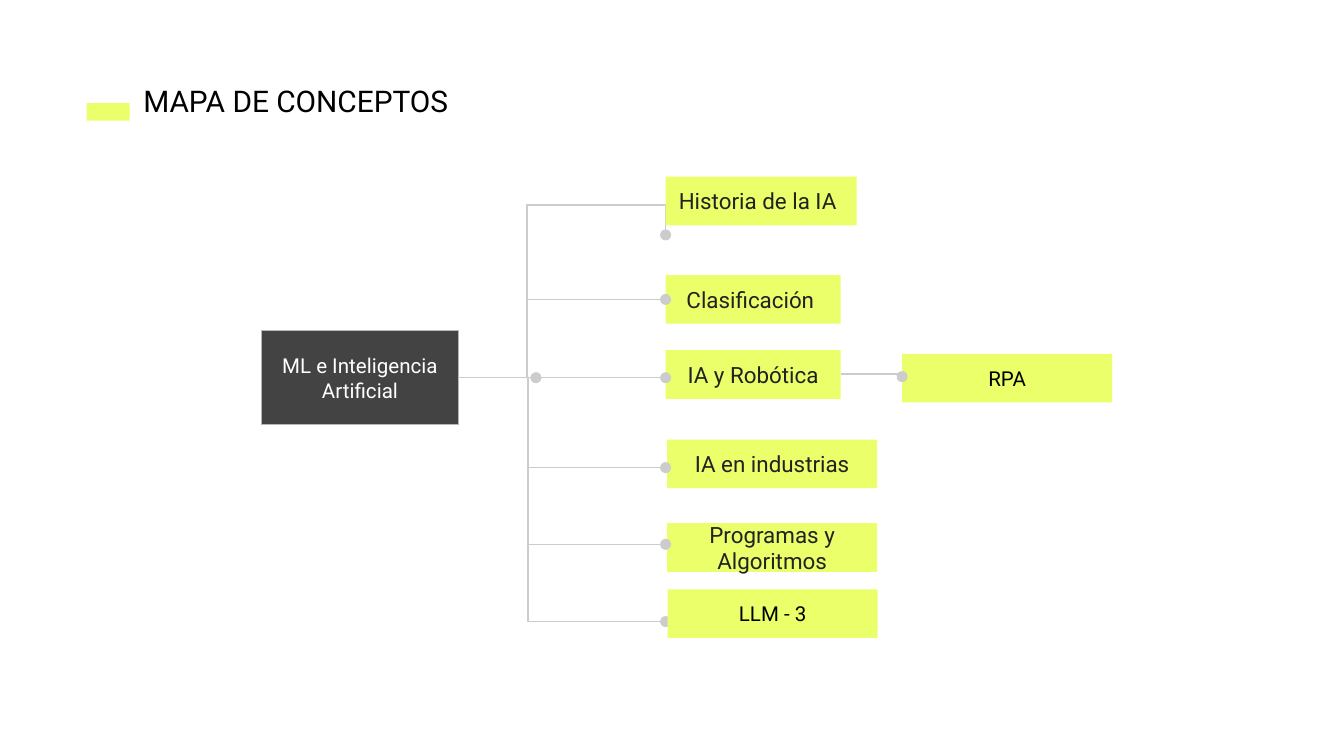
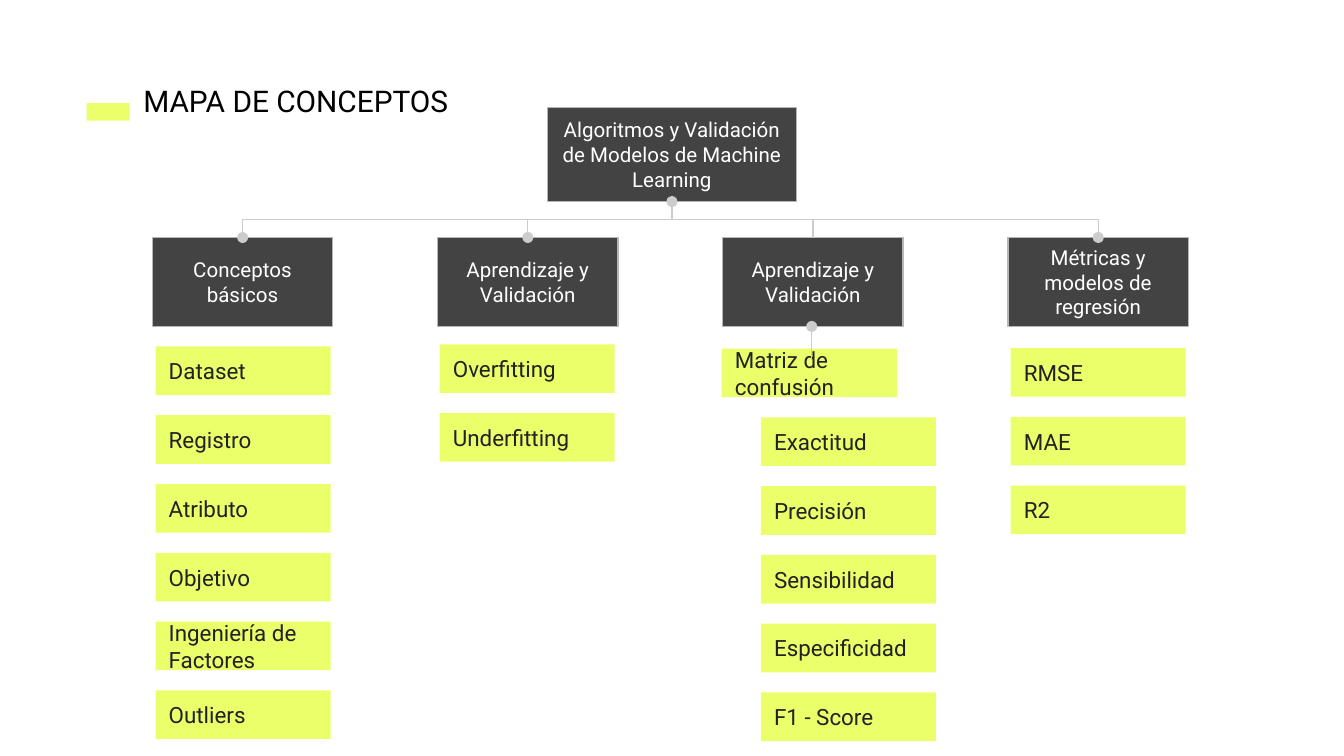
from lxml import etree
from pptx import Presentation
from pptx.dml.color import RGBColor
from pptx.enum.shapes import MSO_CONNECTOR, MSO_SHAPE
from pptx.enum.text import MSO_ANCHOR, MSO_AUTO_SIZE, PP_ALIGN
from pptx.oxml.ns import qn
from pptx.util import Cm, Pt

LIME = RGBColor(0xEA, 0xFF, 0x6A)
DARK = RGBColor(0x43, 0x43, 0x43)
BORDER = RGBColor(0xB7, 0xB7, 0xB7)
LINK = RGBColor(0xCC, 0xCC, 0xCC)
INK = RGBColor(0x22, 0x22, 0x22)
BLACK = RGBColor(0, 0, 0)
WHITE = RGBColor(0xFF, 0xFF, 0xFF)
FONT = "Roboto"
INSET = Cm(0.25)
LABEL_H = 0.92


def box(s, text, x, y, w, h=LABEL_H, size=12, color=INK, fill=LIME, align=PP_ALIGN.LEFT):
    """Add a lime label, a dark node, or (with no fill) a title text box."""
    if fill is None:
        sp = s.shapes.add_textbox(Cm(x), Cm(y), Cm(w), Cm(h))
    else:
        sp = s.shapes.add_shape(MSO_SHAPE.RECTANGLE, Cm(x), Cm(y), Cm(w), Cm(h))
        sp.shadow.inherit = False
        sp.fill.solid()
        sp.fill.fore_color.rgb = fill
        sp.line.fill.background()
    if fill == DARK:
        sp.line.color.rgb = BORDER
        sp.line.width = Pt(0.75)
    if not text:
        return
    tf = sp.text_frame
    tf.word_wrap = True
    tf.margin_left = tf.margin_right = tf.margin_top = tf.margin_bottom = INSET
    if fill is None:
        tf.auto_size = MSO_AUTO_SIZE.SHAPE_TO_FIT_TEXT
    else:
        tf.vertical_anchor = MSO_ANCHOR.MIDDLE
    p = tf.paragraphs[0]
    p.alignment = align
    if fill == DARK:
        p.space_after = Pt(10)
    r = p.add_run()
    r.text = text
    r.font.name = FONT
    r.font.size = Pt(size)
    r.font.color.rgb = color


def elbow(s, x1, y1, x2, y2, vertical=False, bend=0.5):
    """Add an elbow ending in a dot; a vertical one leaves upwards or downwards."""
    rot = 0
    if vertical:
        # Lay the elbow on its side around the same centre, then turn it.
        rot = 90 if x2 <= x1 else 270
        mx, my = (x1 + x2) / 2, (y1 + y2) / 2
        half_w, half_h = (y2 - y1) / 2, abs(x2 - x1) / 2
        if rot == 270:
            half_w = -half_w
        x1, y1, x2, y2 = mx - half_w, my - half_h, mx + half_w, my + half_h
    c = s.shapes.add_connector(MSO_CONNECTOR.ELBOW, Cm(x1), Cm(y1), Cm(x2), Cm(y2))
    c.line.color.rgb = LINK
    c.line.width = Pt(0.75)
    props = c.element.spPr
    if rot:
        props.find(qn("a:xfrm")).set("rot", str(rot * 60000))
    guides = props.find(qn("a:prstGeom")).find(qn("a:avLst"))
    etree.SubElement(guides, qn("a:gd"), name="adj1", fmla=f"val {round(bend * 100000)}")
    etree.SubElement(props.find(qn("a:ln")), qn("a:tailEnd"), type="oval")
    etree.SubElement(props, qn("a:effectLst"))


prs = Presentation()
prs.slide_width, prs.slide_height = Cm(25.4), Cm(14.29)

slides = []
for _ in range(2):
    s = prs.slides.add_slide(prs.slide_layouts[6])
    box(s, "", 1.64, 1.95, 0.81, 0.33)
    box(s, "MAPA DE CONCEPTOS", 2.46, 1.31, 6.83, 1.19, 16, BLACK, None)
    slides.append(s)

# Slide 1: one topic branching to the right
s = slides[0]
TRUNK_X, TRUNK_Y, BRANCH_X = 9.96, 7.14, 12.58
box(s, "ML e Inteligencia Artificial", 4.94, 6.25, 3.73, 1.78, 11, WHITE, DARK, PP_ALIGN.CENTER)
elbow(s, 8.66, TRUNK_Y, 10.13, TRUNK_Y)
elbow(s, TRUNK_X, TRUNK_Y, BRANCH_X, 4.44, vertical=True, bend=1.21)
elbow(s, TRUNK_X + 0.02, TRUNK_Y, BRANCH_X, 11.75, vertical=True, bend=1)

box(s, "Historia de la IA", BRANCH_X, 3.34, 3.61)
for text, x, y, w in [
    ("Clasificación ", BRANCH_X, 5.2, 3.31),
    ("IA y Robótica", BRANCH_X, 6.62, 3.31),
    ("IA en industrias", 12.61, 8.31, 3.97),
    ("Programas y Algoritmos", 12.61, 9.89, 3.97),
]:
    box(s, text, x, y, w, align=PP_ALIGN.CENTER)
for text, x, y in [("RPA", 17.05, 6.69), ("LLM - 3", 12.62, 11.14)]:
    box(s, text, x, y, 3.97, size=11, color=BLACK, align=PP_ALIGN.CENTER)

for y in (5.66, TRUNK_Y, 8.84, 10.29):
    elbow(s, TRUNK_X, y, BRANCH_X, y)
elbow(s, 15.9, 7.07, 17.05, 7.12, bend=1)

# Slide 2: one topic above four columns
s = slides[1]
ROOT_X, ROOT_BOTTOM = 12.7, 3.81
HEAD_Y, HEAD_W, HEAD_H = 4.49, 3.41, 1.68
box(s, "Algoritmos y Validación de Modelos de Machine Learning",
    10.35, 2.03, 4.7, 1.78, 11, WHITE, DARK, PP_ALIGN.CENTER)

# Heading, left and top of the first label, indent of the later labels, labels
columns = [
    ("Conceptos básicos", 2.94, 6.55, 0,
     ["Dataset", "Registro", "Atributo", "Objetivo", "Ingeniería de Factores", "Outliers"]),
    ("Aprendizaje y Validación", 8.31, 6.51, 0, ["Overfitting", "Underfitting"]),
    ("Aprendizaje y Validación", 13.64, 6.59, 0.74,
     ["Matriz de confusión", "Exactitud", "Precisión", "Sensibilidad", "Especificidad",
      "F1 - Score"]),
    ("Métricas y modelos de regresión", 19.1, 6.58, 0, ["RMSE", "MAE", "R2"]),
]
for i, (heading, left, top, indent, labels) in enumerate(columns):
    head_x = 2.88 + 5.39 * i
    middle = head_x + HEAD_W / 2
    box(s, heading, head_x, HEAD_Y, HEAD_W, HEAD_H, 11, WHITE, DARK, PP_ALIGN.CENTER)
    for row, label in enumerate(labels):
        box(s, label, left + (indent if row else 0), top + 1.3 * row, 3.31)
    if indent:
        elbow(s, middle, HEAD_Y, ROOT_X, ROOT_BOTTOM, vertical=True)
        elbow(s, 15.34, 6.81, 15.34, HEAD_Y + HEAD_H, vertical=True)
    else:
        elbow(s, ROOT_X, ROOT_BOTTOM, middle, HEAD_Y, vertical=True)

prs.save("out.pptx")
